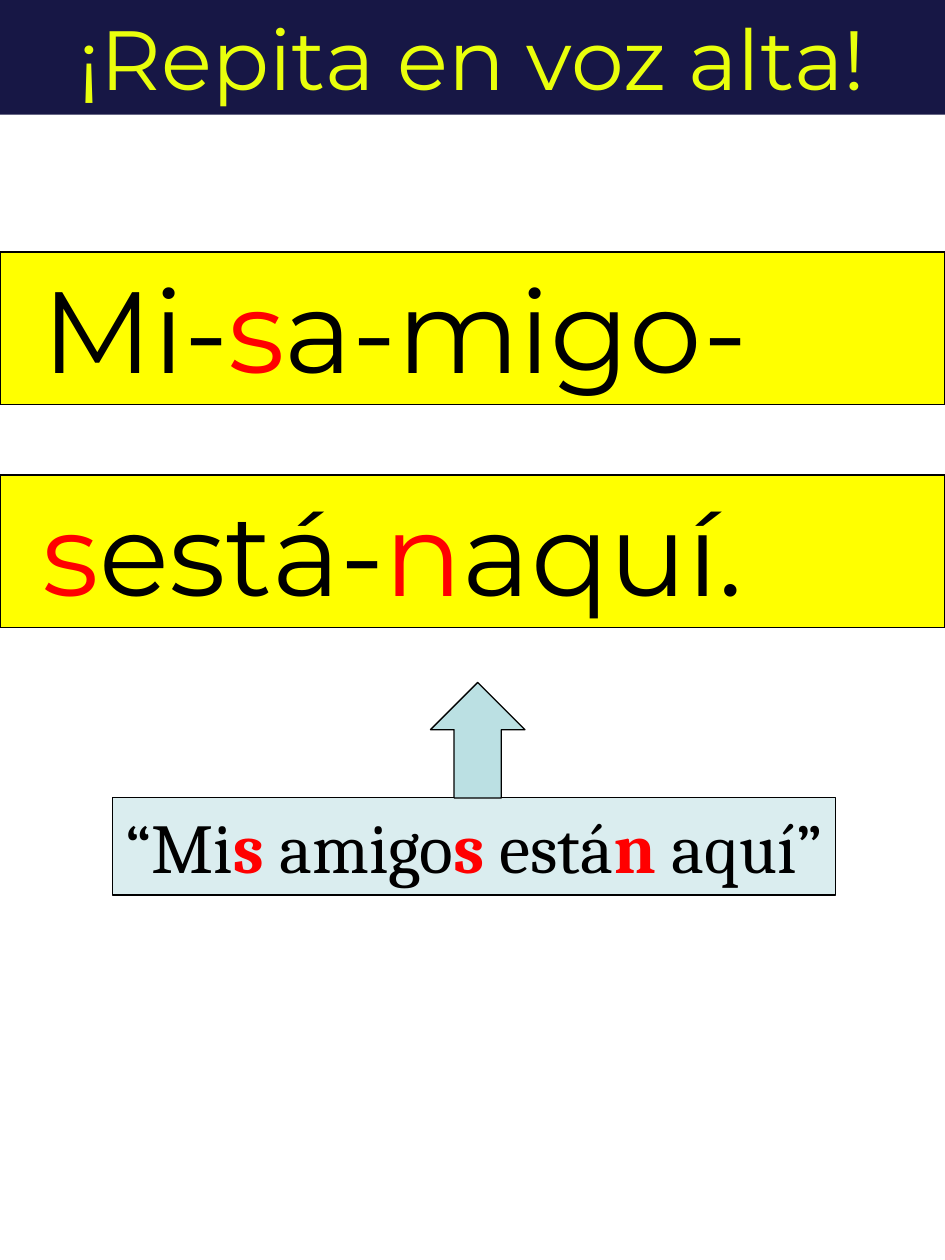
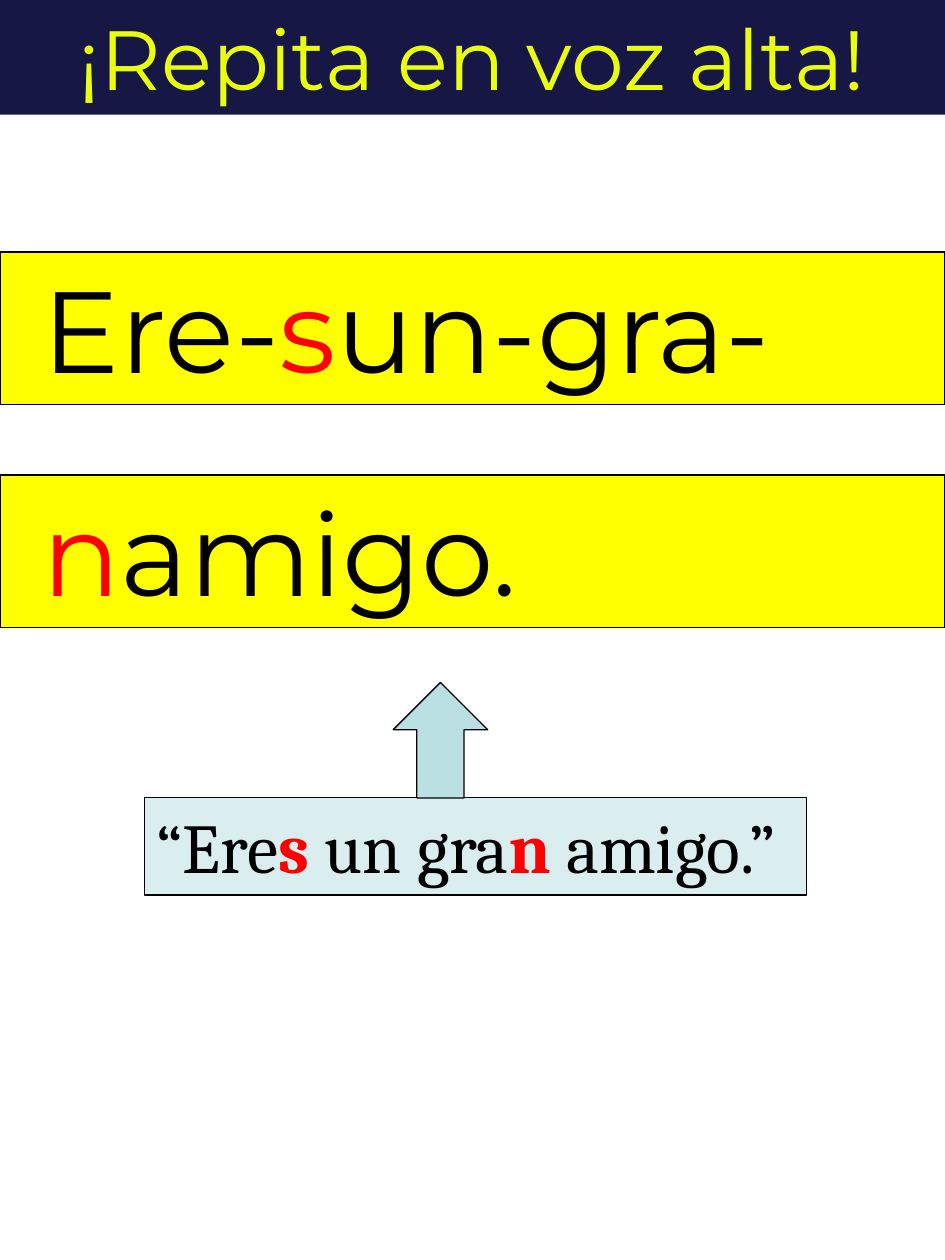
from pptx import Presentation
from pptx.dml.color import RGBColor
from pptx.enum.shapes import MSO_SHAPE
from pptx.enum.text import MSO_ANCHOR, MSO_AUTO_SIZE, PP_ALIGN
from pptx.util import Pt

RECT, ARROW = MSO_SHAPE.RECTANGLE, MSO_SHAPE.UP_ARROW
TOP, FIXED = MSO_ANCHOR.TOP, MSO_AUTO_SIZE.NONE
LEFT, CENTER = PP_ALIGN.LEFT, PP_ALIGN.CENTER

# Shared look
WIDTH, HEIGHT = 540, 720
NAVY, LIME = "171745", "E9FF0C"
YELLOW, BLACK, RED = "FFFF00", "000000", "FF0000"
PALE, TEAL = "DAEDEF", "BBE0E3"
SANS, SERIF = "Montserrat", "Cambria"
TITLE = "¡Repita en voz alta!"
BAND_TOP, BAND_STEP, BAND_TALL = 144, 127.5, 87.3

# Linked letters stand between asterisks; quote and arrow give left and width
SLIDES = [
    {"bands": ["Mi-*s*a-migo-", "*s*está-*n*aquí."],
     "quote": ("“Mi*s* amigo*s* está*n* aquí”", 64.5, 413), "arrow": 246},
    {"bands": ["Ere-*s*un-gra-", "*n*amigo."],
     "quote": ("“Ere*s* un gra*n* amigo.”", 82.5, 378.5), "arrow": 224.7},
]


def color(code):
    return RGBColor.from_string(code)


def paint(shape, fill):
    shape.fill.solid()
    shape.fill.fore_color.rgb = color(fill)


def write(shape, text, size, font, ink=BLACK, align=LEFT, bold=False,
          left=7.2, right=7.2):
    """Fill a shape with text; letters between asterisks turn red."""
    frame = shape.text_frame
    frame.word_wrap = True
    frame.auto_size = FIXED
    frame.vertical_anchor = TOP
    frame.margin_left, frame.margin_right = Pt(left), Pt(right)
    frame.margin_top = frame.margin_bottom = Pt(3.6)
    para = frame.paragraphs[0]
    para.alignment = align
    for i, part in enumerate(text.split("*")):
        if not part:
            continue
        link = i % 2 == 1
        run = para.add_run()
        run.text = part
        run.font.name, run.font.size = font, Pt(size)
        run.font.bold = bold and link
        run.font.color.rgb = color(RED if link else ink)


def add_box(slide, kind, x, y, w, h, fill):
    box = slide.shapes.add_shape(kind, Pt(x), Pt(y), Pt(w), Pt(h))
    box.shadow.inherit = False
    paint(box, fill)
    box.line.color.rgb = color(BLACK)
    box.line.width = Pt(0.75)
    return box


def add_title(slide):
    head = slide.shapes.title
    head.left, head.top = Pt(0), Pt(0)
    head.width, head.height = Pt(WIDTH), Pt(65.5)
    paint(head, NAVY)
    write(head, TITLE, 48, SANS, ink=LIME, align=CENTER)


def add_band(slide, row, text):
    y = BAND_TOP + row * BAND_STEP
    band = add_box(slide, RECT, 0, y, WIDTH, BAND_TALL, YELLOW)
    write(band, text, 66, SANS, left=24.5)


def add_quote(slide, text, x, w):
    box = add_box(slide, RECT, x, 455.6, w, 55.8, PALE)
    write(box, text, 40, SERIF, bold=True, right=0)


def main():
    deck = Presentation()
    deck.slide_width, deck.slide_height = Pt(WIDTH), Pt(HEIGHT)
    for page in SLIDES:
        slide = deck.slides.add_slide(deck.slide_layouts[5])
        add_title(slide)
        for row, text in enumerate(page["bands"]):
            add_band(slide, row, text)
        add_quote(slide, *page["quote"])
        add_box(slide, ARROW, page["arrow"], 390, 54, 66, TEAL)
    deck.save("out.pptx")


if __name__ == "__main__":
    main()
